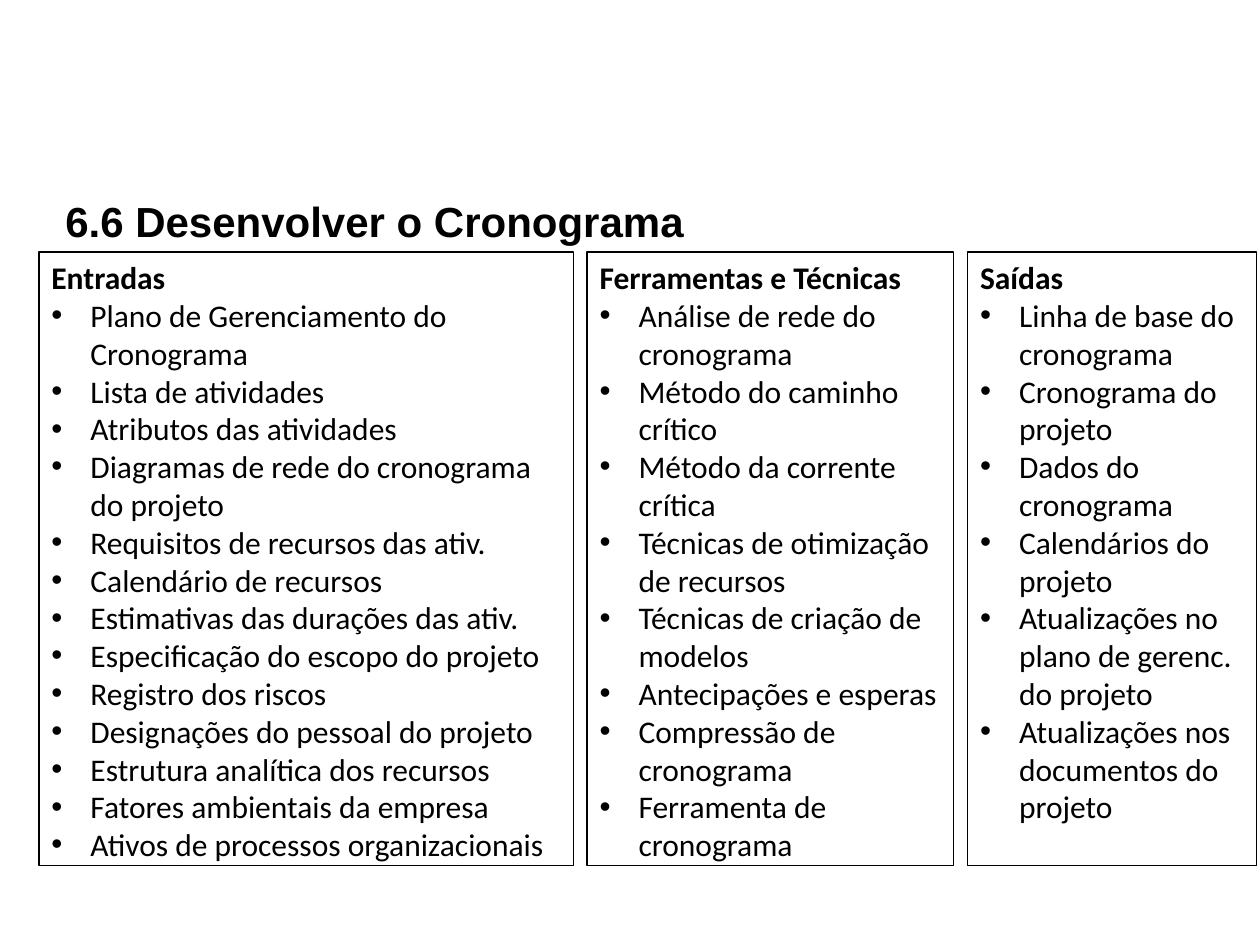
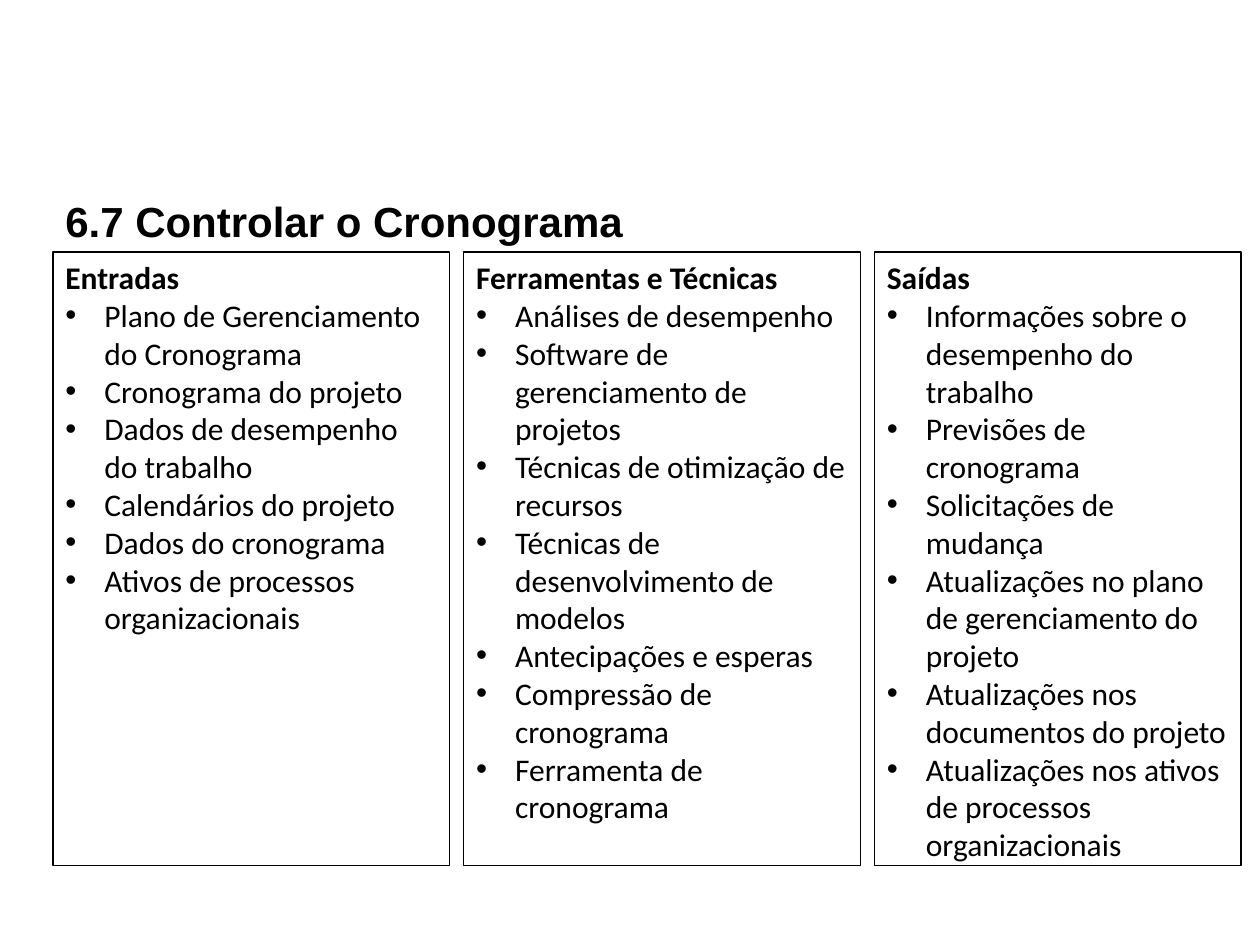
from lxml.etree import SubElement
from pptx import Presentation
from pptx.dml.color import RGBColor
from pptx.enum.shapes import MSO_SHAPE
from pptx.enum.text import MSO_ANCHOR, PP_ALIGN
from pptx.oxml.ns import qn
from pptx.util import Inches, Pt

HEADINGS = ["Entradas", "Ferramentas e Técnicas", "Saídas"]

PROCESSES = [
    {
        "title": "6.6 Desenvolver o Cronograma",
        "left": 0.31,
        "widths": [4.24, 2.91, 2.29],
        "columns": [
            [
                "Plano de Gerenciamento do Cronograma",
                "Lista de atividades",
                "Atributos das atividades",
                "Diagramas de rede do cronograma do projeto",
                "Requisitos de recursos das ativ.",
                "Calendário de recursos",
                "Estimativas das durações das ativ.",
                "Especificação do escopo do projeto",
                "Registro dos riscos",
                "Designações do pessoal do projeto",
                "Estrutura analítica dos recursos",
                "Fatores ambientais da empresa",
                "Ativos de processos organizacionais",
            ],
            [
                "Análise de rede do cronograma",
                "Método do caminho crítico",
                "Método da corrente crítica",
                "Técnicas de otimização de recursos",
                "Técnicas de criação de modelos",
                "Antecipações e esperas",
                "Compressão de cronograma",
                "Ferramenta de cronograma",
            ],
            [
                "Linha de base do cronograma",
                "Cronograma do projeto",
                "Dados do cronograma",
                "Calendários do projeto",
                "Atualizações no plano de gerenc. do projeto",
                "Atualizações nos documentos do projeto",
            ],
        ],
    },
    {
        "title": "6.7 Controlar o Cronograma",
        "left": 0.42,
        "widths": [3.15, 3.15, 2.91],
        "columns": [
            [
                "Plano de Gerenciamento do Cronograma",
                "Cronograma do projeto",
                "Dados de desempenho do trabalho",
                "Calendários do projeto",
                "Dados do cronograma",
                "Ativos de processos organizacionais",
            ],
            [
                "Análises de desempenho",
                "Software de gerenciamento de projetos",
                "Técnicas de otimização de recursos",
                "Técnicas de desenvolvimento de modelos",
                "Antecipações e esperas",
                "Compressão de cronograma",
                "Ferramenta de cronograma",
            ],
            [
                "Informações sobre o desempenho do trabalho",
                "Previsões de cronograma",
                "Solicitações de mudança",
                "Atualizações no plano de gerenciamento do projeto",
                "Atualizações nos documentos do projeto",
                "Atualizações nos ativos de processos organizacionais",
            ],
        ],
    },
]

BLACK = "000000"
COLUMN_TOP, COLUMN_HEIGHT, COLUMN_GAP = 2, 4.87, 0.11
BULLET_INDENT = 0.31


def color(hex_value):
    return RGBColor.from_string(hex_value)


def write(paragraph, text, size=18, font="Calibri", bold=False, bullet=False):
    paragraph.alignment = PP_ALIGN.LEFT
    run = paragraph.add_run()
    run.text = text
    run.font.size = Pt(size)
    run.font.name = font
    run.font.bold = bold
    run.font.color.rgb = color(BLACK)
    if bullet:
        properties = paragraph._p.get_or_add_pPr()
        properties.set("marL", str(Inches(BULLET_INDENT)))
        properties.set("indent", str(-Inches(BULLET_INDENT)))
        SubElement(properties, qn("a:buFont")).set("typeface", "Arial")
        SubElement(properties, qn("a:buChar")).set("char", "•")


def add_title(slide, text):
    box = slide.shapes.add_textbox(Inches(0.42), Inches(1.5), Inches(5.5), Inches(0.5))
    box.text_frame.word_wrap = True
    write(box.text_frame.paragraphs[0], text, size=24, font="Arial", bold=True)


def add_column(slide, left, width, heading, items):
    shape = slide.shapes.add_shape(
        MSO_SHAPE.RECTANGLE,
        Inches(left), Inches(COLUMN_TOP), Inches(width), Inches(COLUMN_HEIGHT),
    )
    shape.shadow.inherit = False
    shape.fill.background()
    shape.line.color.rgb = color(BLACK)
    shape.line.width = Pt(0.75)
    frame = shape.text_frame
    frame.word_wrap = True
    frame.vertical_anchor = MSO_ANCHOR.TOP
    write(frame.paragraphs[0], heading, bold=True)
    for item in items:
        write(frame.add_paragraph(), item, bullet=True)


def add_process(presentation, process):
    slide = presentation.slides.add_slide(presentation.slide_layouts[6])
    add_title(slide, process["title"])
    left = process["left"]
    for heading, width, items in zip(HEADINGS, process["widths"], process["columns"]):
        add_column(slide, left, width, heading, items)
        left += width + COLUMN_GAP


def main():
    presentation = Presentation()
    presentation.slide_width = Inches(10)
    presentation.slide_height = Inches(7.5)
    for process in PROCESSES:
        add_process(presentation, process)
    presentation.save("out.pptx")


if __name__ == "__main__":
    main()
